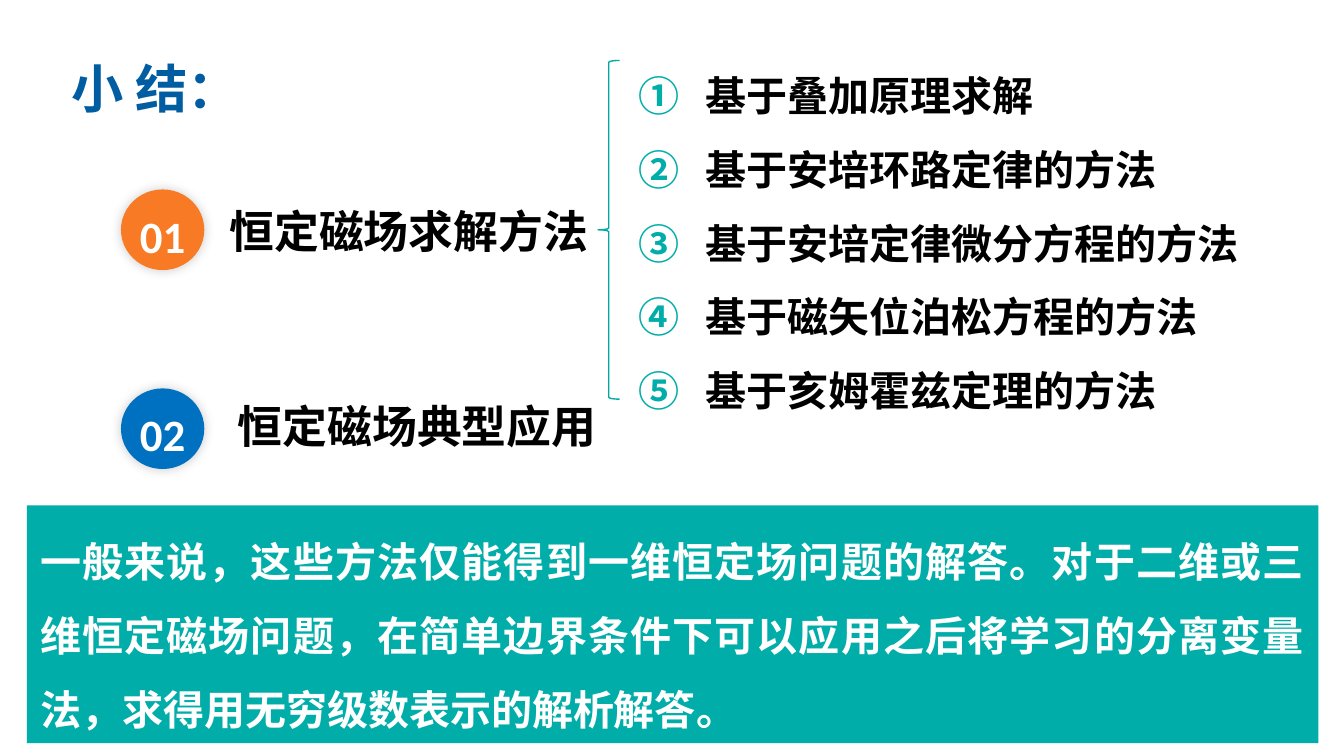
from lxml.etree import SubElement
from pptx import Presentation
from pptx.dml.color import RGBColor
from pptx.enum.shapes import MSO_SHAPE
from pptx.enum.text import MSO_ANCHOR, PP_ALIGN
from pptx.oxml.ns import qn
from pptx.util import Inches, Pt

CELL = 0.1  # inches per grid column and row
BLACK = RGBColor(0x00, 0x00, 0x00)
WHITE = RGBColor(0xFF, 0xFF, 0xFF)
NAVY = RGBColor(0x00, 0x5D, 0xA2)
BLUE = RGBColor(0x00, 0x70, 0xC0)
ORANGE = RGBColor(0xF8, 0x7A, 0x24)
TEAL = RGBColor(0x00, 0xAD, 0xA9)
EDGE = RGBColor(0x00, 0xA9, 0xA5)
SANS = "Noto Sans CJK SC"
LATIN = "Calibri"
SERIF = "Times New Roman"

METHODS = [
    [("基于", SERIF), ("叠加原理求解", SANS)],
    [("基于", SERIF), ("安培环路定律的方法", SANS)],
    [("基于", SERIF), ("安培定律微分方程的方法", SANS)],
    [("基于", SERIF), ("磁矢位泊松方程的方法", SANS)],
    [("基于亥姆霍兹定理的方法", SERIF)],
]
# number, fill, disc row, label, label area, label inset
TOPICS = [
    ("02", BLUE, 28.9, "恒定磁场典型应用", (17.7, 29.7, 28.3, 4), False),
    ("01", ORANGE, 14.1, "恒定磁场求解方法", (16.1, 14.7, 30.1, 5), True),
]
CLOSING = ("一般来说，这些方法仅能得到一维恒定场问题的解答。"
           "对于二维或三维恒定磁场问题，在简单边界条件下可以应用之后将学习的分离变量法，"
           "求得用无穷级数表示的解析解答。")


def grid(*cells):
    return [Inches(cell * CELL) for cell in cells]


def add_run(para, text, size, color, face=LATIN):
    run = para.add_run()
    run.text = text
    font = run.font
    font.size, font.bold, font.name = Pt(size), True, face
    font.color.rgb = color
    SubElement(run.font._element, qn("a:ea")).set("typeface", SANS)


def add_box(slide, area, inset=True):
    box = slide.shapes.add_textbox(*grid(*area))
    frame = box.text_frame
    frame.word_wrap = True
    if not inset:
        clear_inset(frame)
    return frame


def clear_inset(frame):
    frame.margin_left = frame.margin_right = 0
    frame.margin_top = frame.margin_bottom = 0


def add_solid(slide, kind, area, fill):
    shape = slide.shapes.add_shape(kind, *grid(*area))
    shape.shadow.inherit = False
    shape.fill.solid()
    shape.fill.fore_color.rgb = fill
    shape.line.fill.background()
    return shape


def add_glow(shape):
    """Give the shape a soft, centred shadow."""
    effects = shape._element.spPr.find(qn("a:effectLst"))
    shade = SubElement(effects, qn("a:outerShdw"), blurRad=str(Pt(6)),
                       dist="0", dir="18900000", algn="ctr", rotWithShape="0")
    color = SubElement(shade, qn("a:srgbClr"), val=str(BLACK))
    SubElement(color, qn("a:alpha"), val="20000")


def add_title(slide):
    frame = add_box(slide, (4.3, 3.8, 14.2, 5.4))
    frame.vertical_anchor = MSO_ANCHOR.MIDDLE
    add_run(frame.paragraphs[0], "小 结：", 28, NAVY, SANS)


def add_topic(slide, number, fill, top, label, area, inset):
    disc = add_solid(slide, MSO_SHAPE.OVAL, (9, top, 6.2, 6), fill)
    add_glow(disc)
    frame = disc.text_frame
    clear_inset(frame)
    frame.vertical_anchor = MSO_ANCHOR.MIDDLE
    para = frame.paragraphs[0]
    para.alignment, para.line_spacing = PP_ALIGN.CENTER, 1.2
    add_run(para, number, 24, WHITE)

    para = add_box(slide, area, inset).paragraphs[0]
    para.alignment = PP_ALIGN.JUSTIFY
    add_run(para, label, 24, BLACK)


def add_number(para):
    """Number the paragraph with a circled digit on a hanging indent."""
    props = para._p.get_or_add_pPr()
    props.set("marL", str(Inches(0.5)))
    props.set("indent", str(-Inches(0.5)))
    color = SubElement(props, qn("a:buClr"))
    SubElement(color, qn("a:srgbClr"), val=str(TEAL))
    SubElement(props, qn("a:buFont"), typeface="+mj-lt")
    SubElement(props, qn("a:buAutoNum"), type="circleNumDbPlain")


def add_methods(slide):
    frame = add_box(slide, (46.5, 2.9, 48.4, 28.8))
    for index, runs in enumerate(METHODS):
        para = frame.add_paragraph() if index else frame.paragraphs[0]
        add_number(para)
        para.line_spacing = 1.5
        for text, face in runs:
            add_run(para, text, 22, BLACK, face)


def add_brace(slide):
    brace = slide.shapes.add_shape(MSO_SHAPE.LEFT_BRACE,
                                   *grid(44.5, 4.5, 1.6, 25.2))
    brace.shadow.inherit = False
    brace.fill.background()
    brace.line.color.rgb = EDGE
    brace.line.width = Pt(0.75)


def add_closing(slide):
    panel = add_solid(slide, MSO_SHAPE.RECTANGLE, (2, 37.6, 96.1, 17.7), TEAL)
    frame = panel.text_frame
    frame.word_wrap = True
    frame.vertical_anchor = MSO_ANCHOR.TOP
    para = frame.paragraphs[0]
    para.alignment, para.line_spacing = PP_ALIGN.JUSTIFY, 1.5
    add_run(para, CLOSING, 22, WHITE)


def main():
    deck = Presentation()
    deck.slide_width, deck.slide_height = grid(100, 56.25)
    slide = deck.slides.add_slide(deck.slide_layouts[6])
    add_title(slide)
    for topic in TOPICS:
        add_topic(slide, *topic)
    add_methods(slide)
    add_brace(slide)
    add_closing(slide)
    deck.save("out.pptx")


if __name__ == "__main__":
    main()
